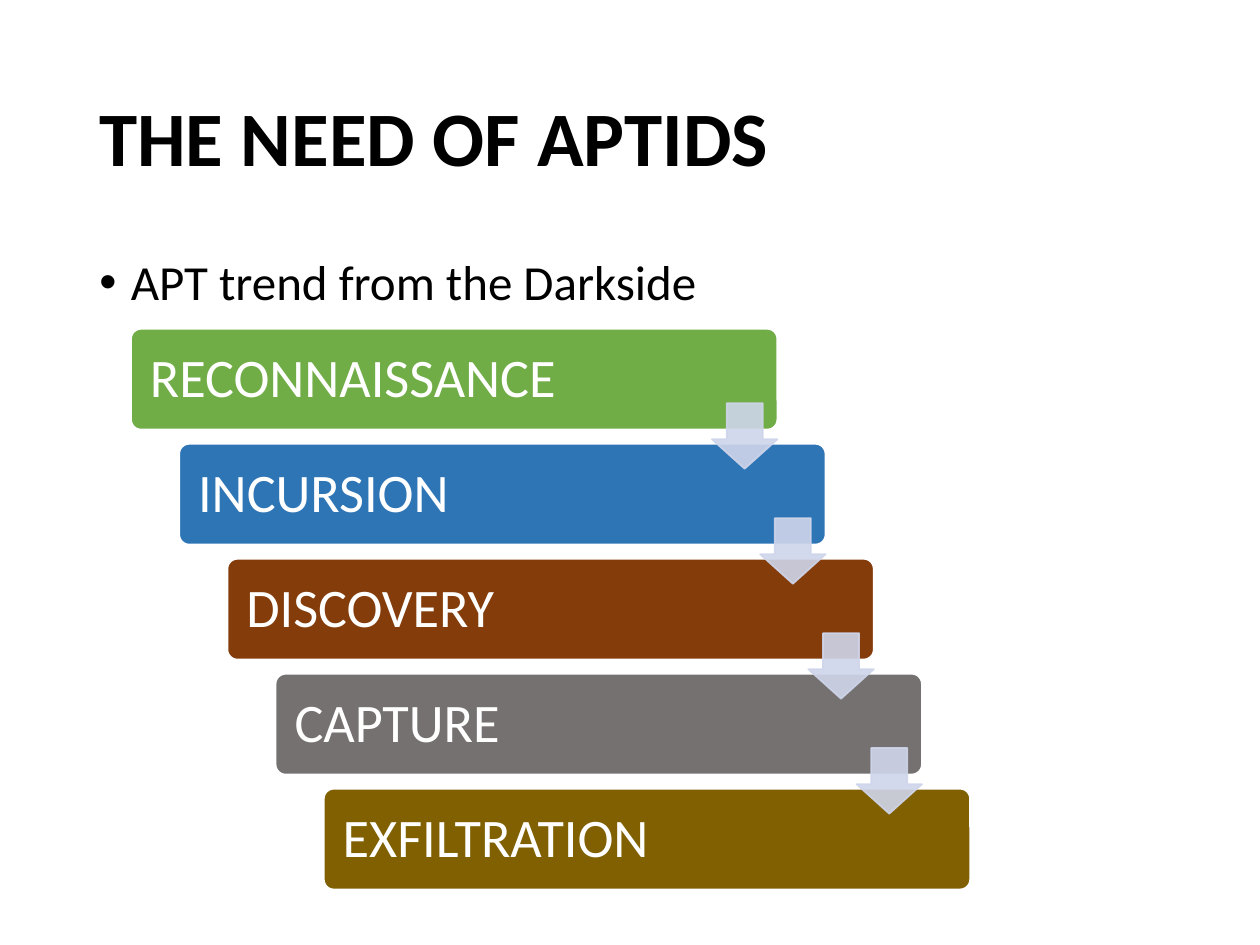
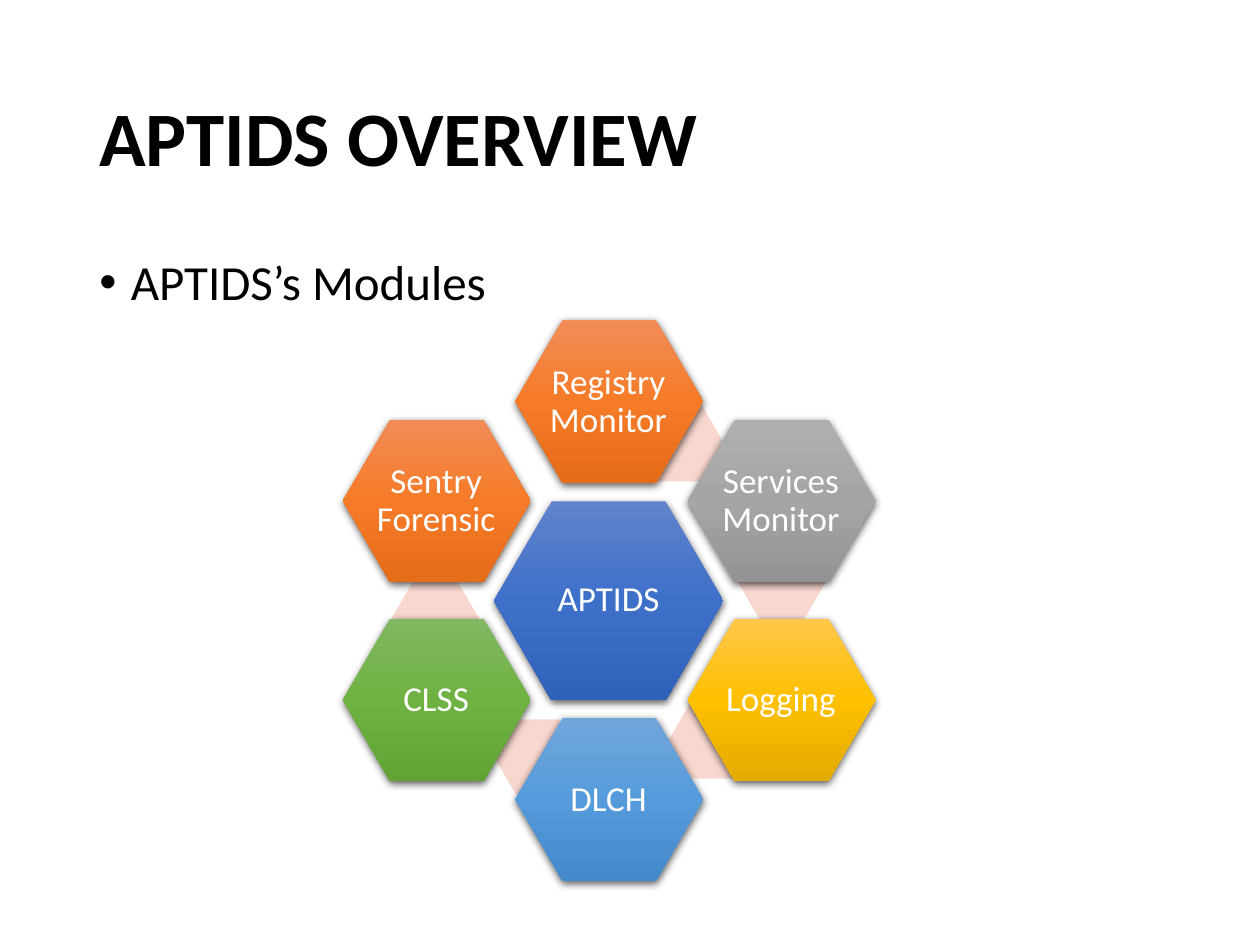
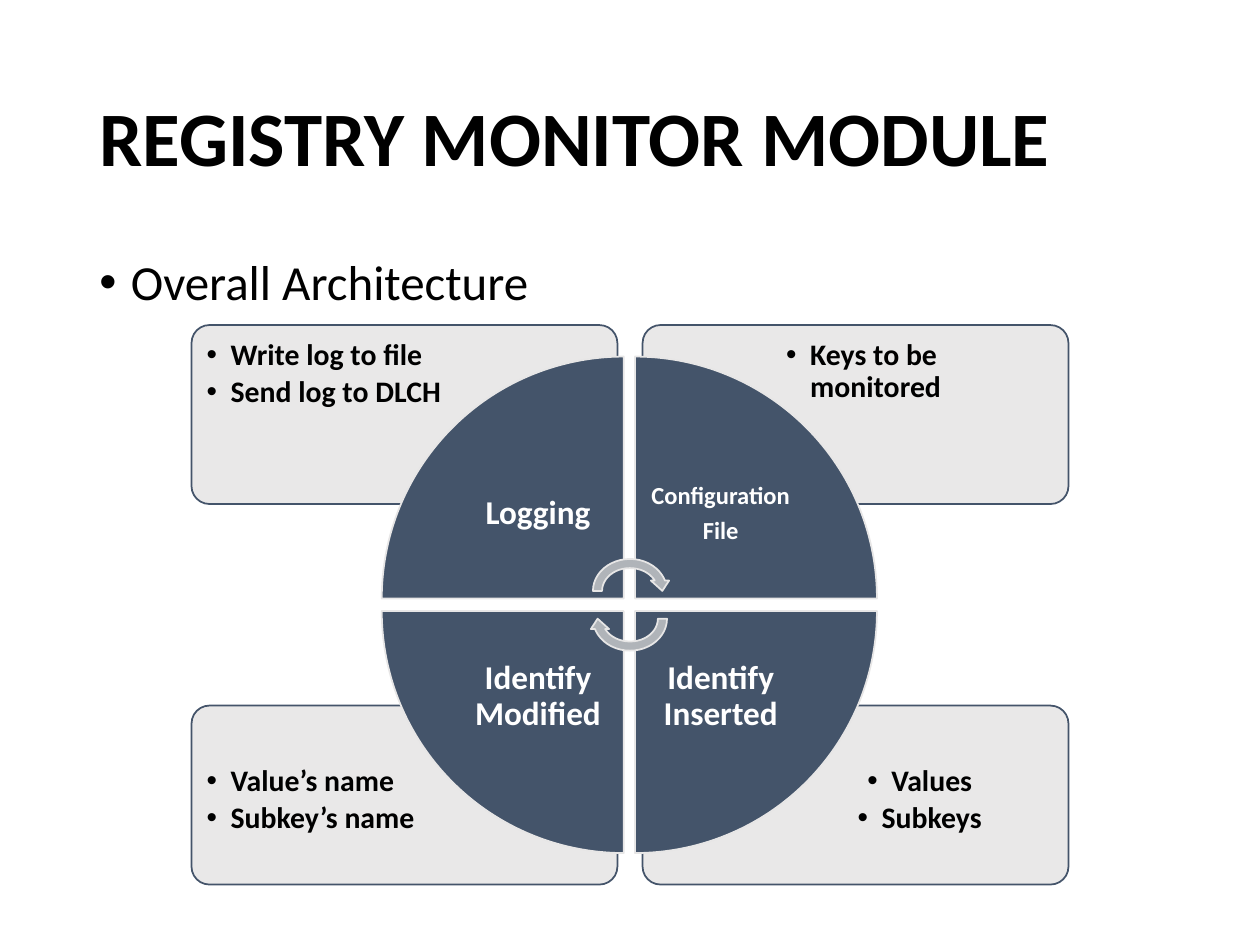
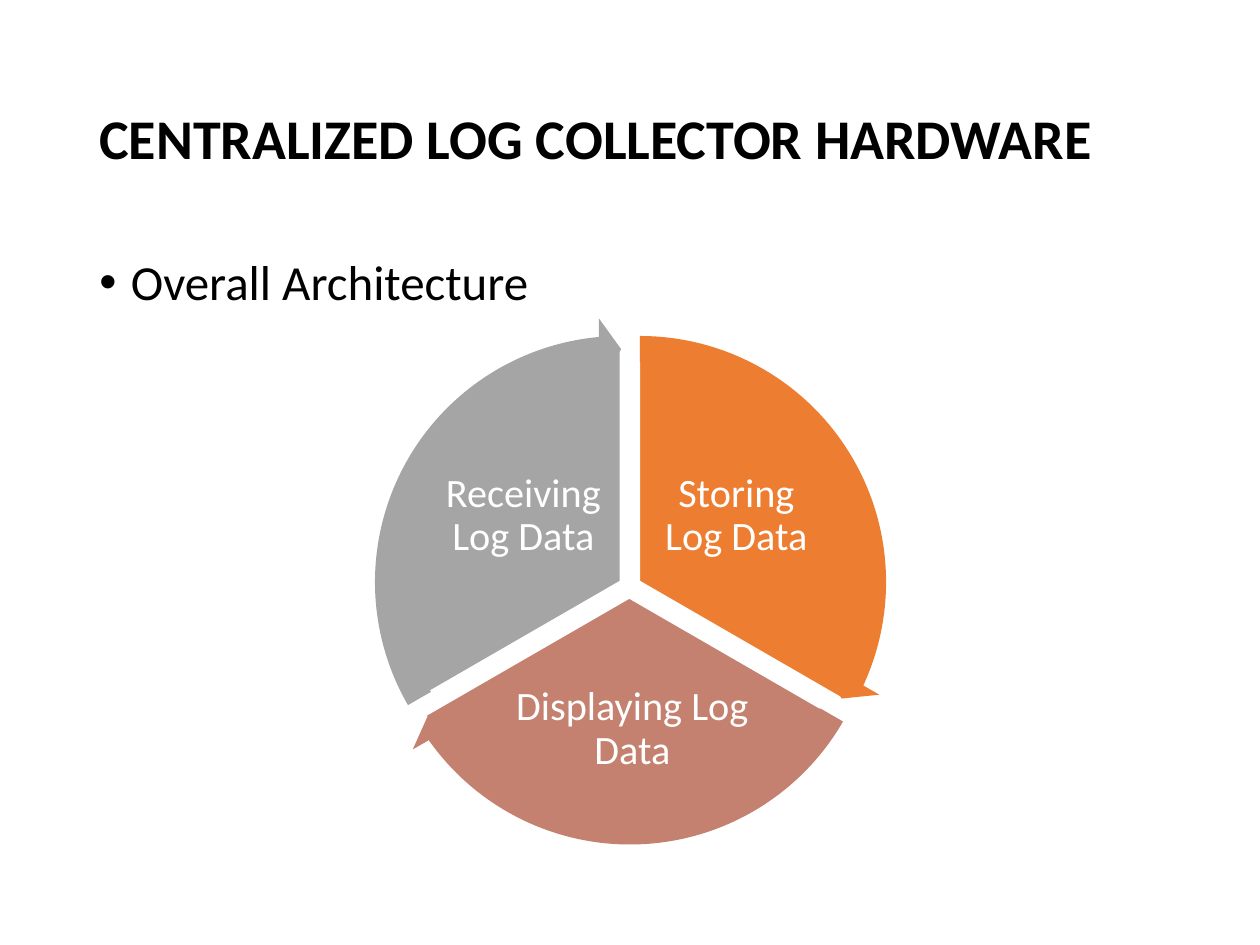
import copy
import math

from lxml import etree
from pptx import Presentation
from pptx import util as u
from pptx.dml.color import RGBColor
from pptx.enum import shapes, text
from pptx.oxml import parse_xml
from pptx.oxml.ns import nsdecls, qn

FONT = "Calibri"
BLACK, WHITE = "000000", "FFFFFF"
SLATE, PALE = "44546A", "E7E6E6"
LEFT, CENTER = text.PP_ALIGN.LEFT, text.PP_ALIGN.CENTER
TOP, MIDDLE = text.MSO_ANCHOR.TOP, text.MSO_ANCHOR.MIDDLE
S = shapes.MSO_SHAPE
rgb = RGBColor.from_string

SHADOW = (f'<a:outerShdw {nsdecls("a")} blurRad="57150" dist="19050" dir="5400000" '
          'algn="ctr" rotWithShape="0"><a:srgbClr val="000000">'
          '<a:alpha val="63000"/></a:srgbClr></a:outerShdw>')


def add_text(slide, lines, box, size, color=WHITE, bold=False, align=CENTER,
             anchor=MIDDLE, inset=(0.03, 0.03), before=0, after=35, bullet=0):
    """One paragraph per line; after is a percentage, bullet a hanging indent in inches."""
    tf = slide.shapes.add_textbox(*map(u.Inches, box)).text_frame
    tf.word_wrap = True
    tf.vertical_anchor = anchor
    tf.margin_left = tf.margin_right = u.Inches(inset[0])
    tf.margin_top = tf.margin_bottom = u.Inches(inset[1])
    for i, line in enumerate(lines):
        p = tf.paragraphs[0] if i == 0 else tf.add_paragraph()
        p.alignment, p.line_spacing = align, 0.9
        p.space_before, p.space_after = u.Pt(before), u.Pt(0)
        r = p.add_run()
        r.text = line
        r.font.name, r.font.size, r.font.bold = FONT, u.Pt(size), bold
        r.font.color.rgb = rgb(color)
        pPr = p._p.get_or_add_pPr()
        spacing = pPr.find(qn("a:spcAft"))
        spacing.remove(spacing[0])
        etree.SubElement(spacing, qn("a:spcPct"), val=str(after * 1000))
        if bullet:
            pPr.set("marL", str(u.Inches(bullet)))
            pPr.set("indent", str(-u.Inches(bullet)))
            etree.SubElement(pPr, qn("a:buFont"), typeface="Arial")
            etree.SubElement(pPr, qn("a:buChar"), char="•")


def add_shape(slide, kind, box, fill, line=None, adj=(), rot=0, alpha=100, line_alpha=100):
    """fill is one colour, or three for a vertical gradient with a soft shadow."""
    sp = slide.shapes.add_shape(kind, *map(u.Inches, box))
    sp.rotation = rot
    sp.shadow.inherit = False
    for i, value in enumerate(adj):
        sp.adjustments[i] = value
    spPr = sp._element.spPr
    if isinstance(fill, str):
        sp.fill.solid()
        sp.fill.fore_color.rgb = rgb(fill)
    else:
        sp.fill.gradient()
        sp.fill.gradient_angle = 270
        stops = spPr.find(".//" + qn("a:gsLst"))
        stops.insert(1, copy.deepcopy(stops[0]))
        for stop, color, position in zip(sp.fill.gradient_stops, fill, (0, 0.5, 1)):
            stop.color.rgb, stop.position = rgb(color), position
        spPr.find(qn("a:effectLst")).append(parse_xml(SHADOW))
    if line:
        sp.line.color.rgb = rgb(line)
        sp.line.width = u.Pt(1)
    else:
        sp.line.fill.background()
    for route, opacity in (("a:solidFill/a:srgbClr", alpha),
                           ("a:ln/a:solidFill/a:srgbClr", line_alpha)):
        if opacity < 100:
            etree.SubElement(spPr.xpath(route)[0], qn("a:alpha"), val=str(opacity * 1000))


prs = Presentation()
prs.slide_width, prs.slide_height = u.Inches(10), u.Inches(7.5)

# Title and lead bullet of every slide
slides = []
for title, size, lead in (
        ("THE NEED OF APTIDS", 44, "APT trend from the Darkside"),
        ("APTIDS OVERVIEW", 44, "APTIDS’s Modules"),
        ("REGISTRY MONITOR MODULE", 44, "Overall Architecture"),
        ("CENTRALIZED LOG COLLECTOR HARDWARE", 32, "Overall Architecture")):
    slide = prs.slides.add_slide(prs.slide_layouts[6])
    add_text(slide, [title], (0.69, 0.4, 8.62, 1.45), size, BLACK, bold=True,
             align=LEFT, inset=(0.1, 0.05), after=0)
    add_text(slide, [lead], (0.69, 2, 8.62, 4.76), 28, BLACK, align=LEFT, anchor=TOP,
             inset=(0.1, 0.05), before=10, after=0, bullet=0.25)
    slides.append(slide)
need, overview, registry, collector = slides

# Slide 1: staircase of attack stages
stages = [("RECONNAISSANCE", "70AD47"), ("INCURSION", "2E75B6"), ("DISCOVERY", "843C0B"),
          ("CAPTURE", "767171"), ("EXFILTRATION", "806000")]
steps = [(1.04 + i * 1.53 / 4, 2.61 + i * 3.65 / 4) for i in range(len(stages))]
for (stage, color), (x, y) in zip(stages, steps):
    add_shape(need, S.ROUNDED_RECTANGLE, (x, y, 5.13, 0.8), color, WHITE, adj=[0.1])
    add_text(need, [stage], (x + 0.02, y + 0.03, 4.18, 0.75), 31, align=LEFT,
             inset=(0.13, 0.13))
for x, y in steps[:-1]:
    add_shape(need, S.DOWN_ARROW, (x + 4.61, y + 0.59, 0.52, 0.52), "CFD5EA", "CFD5EA",
              adj=[0.55, 0.45], alpha=90, line_alpha=90)

# Slide 2: ring of modules, clockwise from the top, with links behind them
ORANGE = ("F18C57", "F67B28", "E56C19")
hub_x, hub_y, ring = 4.83, 4.77, 1.58
add_shape(overview, S.HEXAGON, (hub_x - 0.91, hub_y - 0.79, 1.82, 1.58),
          ("6183CB", "3E70CA", "3062BB"), adj=[0.29])
add_text(overview, ["APTIDS"], (hub_x - 0.61, hub_y - 0.53, 1.22, 1.05), 20)
modules = [
    ("Registry Monitor", ORANGE, (5.06, 3.23)),
    ("Services Monitor", ("AFAFAF", "A5A5A5", "939393"), (5.86, 4.33)),
    ("Logging", ("FFC64B", "FFC000", "E3AB00"), (5.3, 5.59)),
    ("DLCH", ("71A6DB", "559BDB", "448ACA"), (3.92, 5.71)),
    ("CLSS", ("81B861", "6FB242", "62A336"), (3.11, 4.61)),
    ("Sentry Forensic", ORANGE, None)]
for i, (module, gradient, link) in enumerate(modules):
    angle = math.radians(60 * i - 90)
    x, y = hub_x + ring * math.cos(angle), hub_y + ring * math.sin(angle)
    if link:
        add_shape(overview, S.HEXAGON, (*link, 0.69, 0.59), "F8D7CE", adj=[0.29])
    add_shape(overview, S.HEXAGON, (x - 0.74, y - 0.65, 1.49, 1.29), gradient, adj=[0.29])
    add_text(overview, [module], (x - 0.5, y - 0.43, 1, 0.86), 20)

# Slide 3: four wedges with a card in each corner (column, row)
quadrants = [
    (1, 1, 180, ["Identify Inserted"], 19, ["Values", "Subkeys"], CENTER),
    (0, 1, 270, ["Identify Modified"], 19, ["Value’s name", "Subkey’s name"], LEFT),
    (1, 0, 90, ["Configuration", "File"], 14, ["Keys to be monitored"], LEFT),
    (0, 0, 0, ["Logging"], 19, ["Write log to file", "Send log to DLCH"], LEFT)]
for col, row, rot, label, size, details, align in quadrants:
    add_shape(registry, S.ROUNDED_RECTANGLE,
              ((1.52, 5.1)[col], (2.58, 5.6)[row], 3.38, 1.42), PALE, SLATE,
              adj=[0.1], alpha=90)
    add_text(registry, details, ((1.55, 6.15)[col], (2.61, 5.99)[row], 2.3, 1), 17, BLACK,
             bold=True, align=align, anchor=TOP, inset=(0.09, 0.09), after=15, bullet=0.19)
for col, row, rot, label, size, details, align in quadrants:
    add_shape(registry, S.PIE_WEDGE, ((3.03, 5.04)[col], (2.83, 4.85)[row], 1.92, 1.92),
              SLATE, PALE, rot=rot)
    inset = 0.15 if size == 19 else 0.11
    add_text(registry, label, ((3.59, 5.04)[col], (3.4, 4.85)[row], 1.36, 1.36), size,
             bold=True, inset=(inset, inset))
for y, rot in ((4.4, 0), (4.62, 180)):
    add_shape(registry, S.CIRCULAR_ARROW, (4.67, y, 0.66, 0.58), "B0B4B9", PALE, rot=rot)

# Slide 4: cycle of three sectors; angles in units of 5/3 degree, as adjustments take them
sectors = [
    ("Storing Log Data", "ED7D31", (3.21, 2.75), (162, 18), (14.73, 161.99),
     (5.18, 3.54, 1.33, 1.11)),
    ("Displaying Log Data", "C48170", (3.13, 2.88), (18, 90), (86.72, 18.01),
     (4.02, 5.3, 2, 0.98)),
    ("Receiving Log Data", "A5A5A5", (3.06, 2.75), (90, 162), (158.73, 90),
     (3.49, 3.54, 1.33, 1.11))]
for label, color, corner, span, sweep, label_box in sectors:
    add_shape(collector, S.PIE, (*corner, 3.73, 3.73), color, WHITE, adj=span)
    add_text(collector, [label], label_box, 23)
for label, color, (x, y), span, (end, start), label_box in sectors:
    add_shape(collector, S.CIRCULAR_ARROW, (x - 0.23, y - 0.23, 4.2, 4.2), color,
              adj=(0.05, 3.28, end, start, 0.06))

prs.save("out.pptx")
